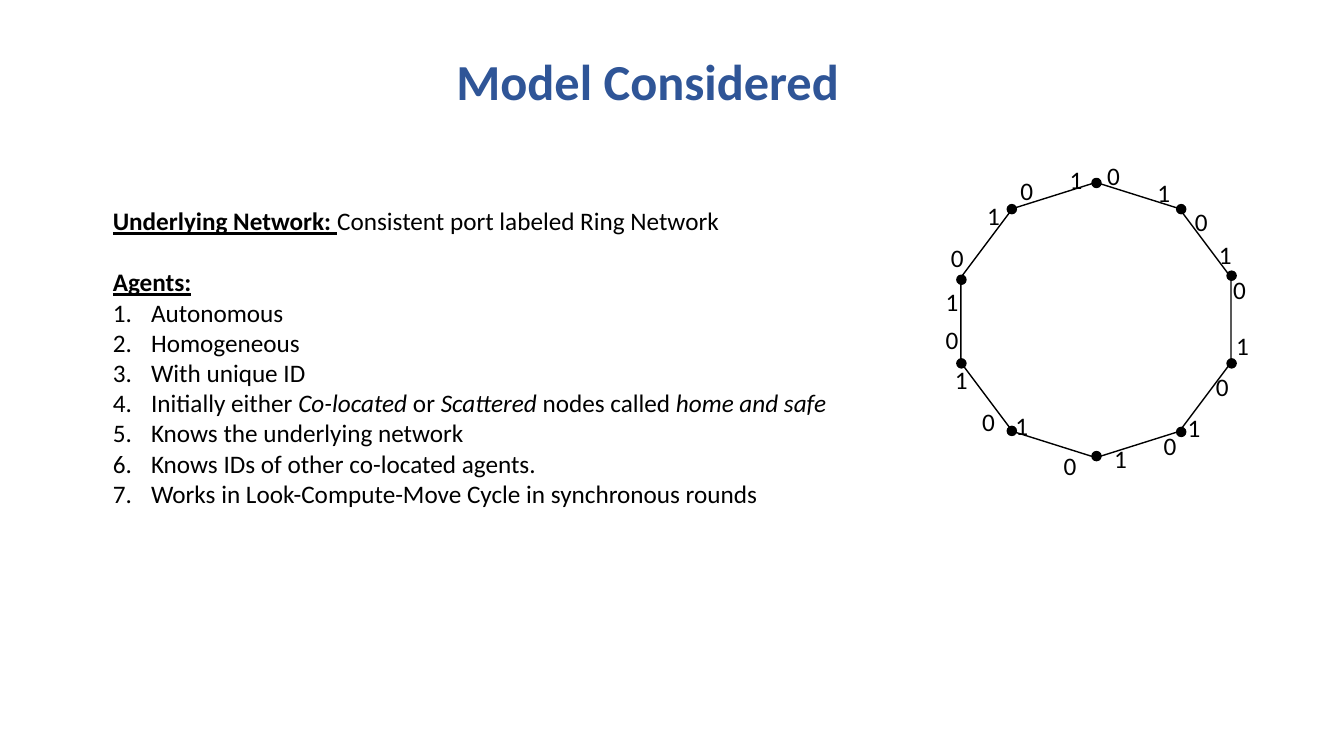
"""Build the slide on the model considered: a ring network and its agents."""
import pptx
import pptx.dml.color
import pptx.enum.shapes
import pptx.enum.text
import pptx.oxml
import pptx.oxml.ns
import pptx.util

PX = 9144
COLORS = {"title": "2F5597", "ink": "000000"}
FONT = "Calibri"
PLAIN = {}
HEADING = {"bold": True, "underline": True}
ITALIC = {"italic": True}

TITLE = [("Model Considered", {"bold": True})]
NETWORK = [("Underlying Network: ", HEADING), ("Consistent port labeled Ring Network", PLAIN)]
AGENTS_HEADING = [("Agents:", HEADING)]
AGENTS = [
    [("Autonomous", PLAIN)],
    [("Homogeneous", PLAIN)],
    [("With unique ID", PLAIN)],
    [("Initially either ", PLAIN), ("Co-located", ITALIC), (" or ", PLAIN),
     ("Scattered ", ITALIC), ("nodes called", PLAIN), (" home and safe", ITALIC)],
    [("Knows the underlying network", PLAIN)],
    [("Knows IDs of other co-located agents.", PLAIN)],
    [("Works in Look-Compute-Move Cycle in synchronous rounds", PLAIN)],
]

TITLE_BOX = (65, 45, 1155, 71)
BODY_BOX = (102, 199, 1192, 374)
RING_BOX = (953, 181, 268, 247)
NUMBER_INDENT = 38
NODE_SIZE = 9
NODE_TOPS_BY_LEFT = {
    949: (273, 356), 999: (203, 423), 1083: (177, 448), 1167: (203, 424), 1217: (269, 356),
}
PORT_SIZE = (5, 40)
PORTS = {
    "0": [(1012, 169), (1098, 154), (974, 398), (1185, 200), (1223, 267),
          (1206, 363), (1154, 422), (1055, 442), (943, 236), (938, 317)],
    "1": [(1061, 158), (979, 194), (938, 279), (947, 357), (1007, 402),
          (1105, 435), (1178, 404), (1226, 323), (1209, 233), (1148, 171)],
}


def emu(lengths):
    return [round(length * PX) for length in lengths]


def rgb(name):
    return pptx.dml.color.RGBColor.from_string(COLORS[name])


def write(para, spans, size=18, color="ink"):
    for text, style in spans:
        span = para.add_run()
        span.text = text
        values = {"name": FONT, "size": pptx.util.Pt(size), **style}
        for key, value in values.items():
            setattr(span.font, key, value)
        span.font.color.rgb = rgb(color)


def add_text(page, box, **frame_values):
    frame = page.shapes.add_textbox(*emu(box)).text_frame
    for key, value in {"word_wrap": True, **frame_values}.items():
        setattr(frame, key, value)
    return frame


def number(para):
    properties = para._p.get_or_add_pPr()
    indent = NUMBER_INDENT * PX
    properties.set("marL", str(indent))
    properties.set("indent", str(-indent))
    for tag, attribute, value in (("buFont", "typeface", "+mj-lt"),
                                  ("buAutoNum", "type", "arabicPeriod")):
        element = pptx.oxml.parse_xml(
            f'<a:{tag} {pptx.oxml.ns.nsdecls("a")} {attribute}="{value}"/>')
        properties.append(element)


def add_outline(page, kind, box):
    shape = page.shapes.add_shape(kind, *emu(box))
    shape.shadow.inherit = False
    shape.line.color.rgb = rgb("ink")
    shape.line.width = pptx.util.Pt(1)
    return shape


def add_body(page):
    frame = add_text(page, BODY_BOX)
    write(frame.paragraphs[0], NETWORK)
    heading = frame.add_paragraph()
    heading.space_before = pptx.util.Pt(22)
    write(heading, AGENTS_HEADING)
    for spans in AGENTS:
        para = frame.add_paragraph()
        number(para)
        write(para, spans)


def add_ring(page):
    kinds = pptx.enum.shapes.MSO_SHAPE
    ring = add_outline(page, kinds.STAR_5_POINT, RING_BOX)
    ring.adjustments[0] = 0.5
    ring.fill.background()
    for left, tops in NODE_TOPS_BY_LEFT.items():
        for top in tops:
            node = add_outline(page, kinds.OVAL, (left, top, NODE_SIZE, NODE_SIZE))
            node.fill.solid()
            node.fill.fore_color.rgb = rgb("ink")
    for label, places in PORTS.items():
        for place in places:
            frame = add_text(page, place + PORT_SIZE, margin_left=0, margin_right=0)
            write(frame.paragraphs[0], [(label, PLAIN)])


def main():
    deck = pptx.Presentation()
    deck.slide_width, deck.slide_height = emu((1333, 750))
    page = deck.slides.add_slide(deck.slide_layouts[6])
    title = add_text(page, TITLE_BOX).paragraphs[0]
    title.alignment = pptx.enum.text.PP_ALIGN.CENTER
    write(title, TITLE, 36, "title")
    add_body(page)
    add_ring(page)
    deck.save("out.pptx")


if __name__ == "__main__":
    main()
